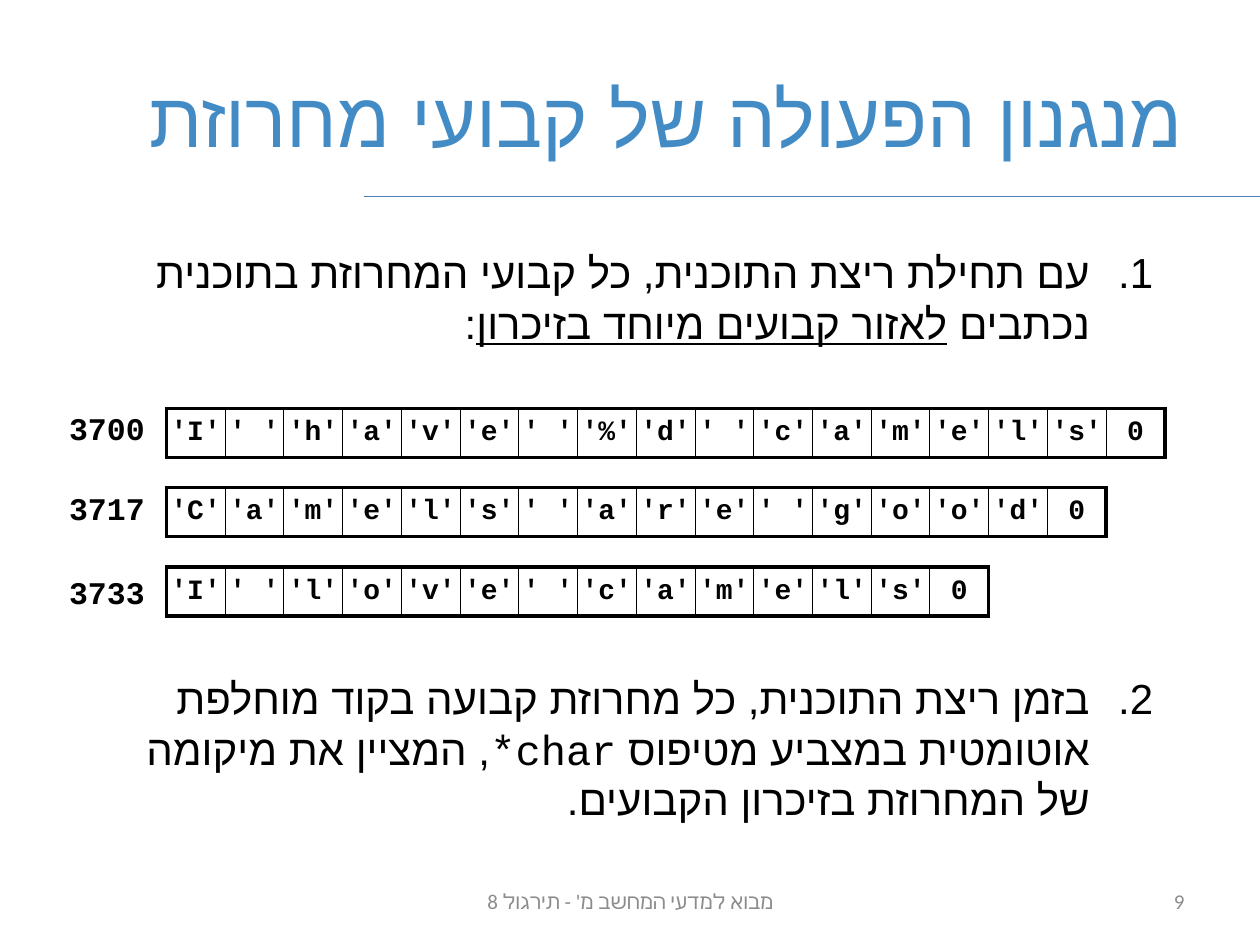
import dataclasses
import lxml.etree
import pptx
import pptx.dml.color
import pptx.enum.shapes
import pptx.enum.text
import pptx.oxml.ns
import pptx.util

Inches = pptx.util.Inches
Pt = pptx.util.Pt
qn = pptx.oxml.ns.qn
align = pptx.enum.text.PP_ALIGN
middle = pptx.enum.text.MSO_ANCHOR.MIDDLE


@dataclasses.dataclass
class Theme:
    title: str = "438BC4"
    rule: str = "4B7EBC"
    ink: str = "000000"
    muted: str = "8C8C8C"
    sans: str = "Arial"
    serif: str = "Times New Roman"
    code: str = "Courier New"
    small: str = "Calibri"
    head: int = 44
    body: int = 24
    label: int = 18
    cell: int = 16
    foot: int = 12


theme = Theme()


def write(para, text, font, size, color=theme.ink, bold=False, line=False,
          side=None, rtl=False, script=None):
    """Add a run to a paragraph; script is the font for Hebrew letters."""
    if side is not None:
        para.alignment = side
    if rtl:
        para._p.get_or_add_pPr().set("rtl", "1")
    run = para.add_run()
    run.text = text
    run.font.name = font
    run.font.size = Pt(size)
    run.font.bold = bold
    run.font.underline = line
    run.font.color.rgb = pptx.dml.color.RGBColor.from_string(color)
    lxml.etree.SubElement(run._r.get_or_add_rPr(), qn("a:cs"), typeface=script or font)


def box(left, top, width, height):
    """Add a wrapping text box and return its frame."""
    frame = slide.shapes.add_textbox(
        Inches(left), Inches(top), Inches(width), Inches(height)).text_frame
    frame.word_wrap = True
    return frame


deck = pptx.Presentation()
deck.slide_width, deck.slide_height = Inches(10), Inches(7.5)
slide = deck.slides.add_slide(deck.slide_layouts[5])

# Title and the rule under it
title = slide.shapes.title
title.left, title.top = Inches(0.5), Inches(0.3)
title.width, title.height = Inches(9), Inches(1.25)
title.text_frame.vertical_anchor = middle
write(title.text_frame.paragraphs[0], "מנגנון הפעולה של קבועי מחרוזת",
      theme.sans, theme.head, theme.title, side=align.RIGHT, rtl=True)

rule = slide.shapes.add_connector(
    pptx.enum.shapes.MSO_CONNECTOR.STRAIGHT,
    Inches(10), Inches(1.56), Inches(2.89), Inches(1.56))
rule.line.color.rgb = pptx.dml.color.RGBColor.from_string(theme.rule)
rule.line.width = Pt(0.75)
lxml.etree.SubElement(rule._element.spPr, qn("a:effectLst"))

# Numbered points: each part is its text and the format that differs
points = [
    (1.91, 0.91, [
        ("עם תחילת ריצת התוכנית, כל קבועי המחרוזת בתוכנית נכתבים ", {}),
        ("לאזור קבועים מיוחד בזיכרון", {"line": True}),
        (":", {})]),
    (5.29, 1.31, [
        ("בזמן ריצת התוכנית, כל מחרוזת קבועה בקוד מוחלפת אוטומטית במצביע מטיפוס ", {}),
        ("char*", {"font": theme.code, "script": theme.code}),
        (", המציין את מיקומה של המחרוזת בזיכרון הקבועים.", {})]),
]
for num, (top, height, parts) in enumerate(points, 1):
    para = box(0.9, top, 8.35, height).paragraphs[0]
    props = para._p.get_or_add_pPr()
    props.set("marL", str(Inches(0.5)))
    props.set("indent", str(-Inches(0.5)))
    lxml.etree.SubElement(props, qn("a:buFont"), typeface=theme.sans)
    lxml.etree.SubElement(props, qn("a:buAutoNum"), type="arabicPeriod", startAt=str(num))
    for text, extra in parts:
        base = {"font": theme.serif, "script": theme.sans}
        write(para, text, size=theme.body, side=align.RIGHT, rtl=True, **{**base, **extra})

# Memory rows: address, label top, stored string
rows = [
    ("3700", 3.2, "I have %d camels"),
    ("3717", 3.83, "Camels are good"),
    ("3733", 4.5, "I love camels"),
]
step = Inches(7.93) // 17
for index, (address, top, string) in enumerate(rows):
    write(box(0.45, top, 0.94, 0.43).paragraphs[0], address,
          theme.code, theme.label, bold=True, side=align.LEFT)

    chars = [f"'{char}'" for char in string] + ["0"]
    last = len(chars) - 1
    table = slide.shapes.add_table(
        1, len(chars), Inches(1.32), Inches(3.24 + 0.63 * index),
        step * len(chars), Inches(0.39)).table
    table.first_row = table.horz_banding = False
    for col, char in enumerate(chars):
        table.columns[col].width = step
        cell = table.cell(0, col)
        cell.fill.background()
        cell.vertical_anchor = middle
        cell.margin_left = cell.margin_right = Inches(0.02)
        cell.margin_top = cell.margin_bottom = Inches(0.05)
        write(cell.text_frame.paragraphs[0], char, theme.code, theme.cell,
              bold=True, side=align.CENTER)

        # Thick outer frame, thin dividers
        edges = {"L": 2.25 if col == 0 else 0.5,
                 "R": 2.25 if col == last else 0.5,
                 "T": 2.25, "B": 2.25}
        props = cell._tc.get_or_add_tcPr()
        for place, (edge, width) in enumerate(edges.items()):
            line = lxml.etree.Element(qn(f"a:ln{edge}"), w=str(Pt(width)))
            fill = lxml.etree.SubElement(line, qn("a:solidFill"))
            lxml.etree.SubElement(fill, qn("a:srgbClr"), val=theme.ink)
            props.insert(place, line)

# Footer and page number
for left, width, text, side in [
    (3.42, 3.17, "מבוא למדעי המחשב מ' - תירגול 8", align.CENTER),
    (7.17, 2.33, "9", align.RIGHT),
]:
    frame = box(left, 6.95, width, 0.4)
    frame.vertical_anchor = middle
    write(frame.paragraphs[0], text, theme.small, theme.foot, theme.muted,
          side=side, rtl=True)

deck.save("out.pptx")
